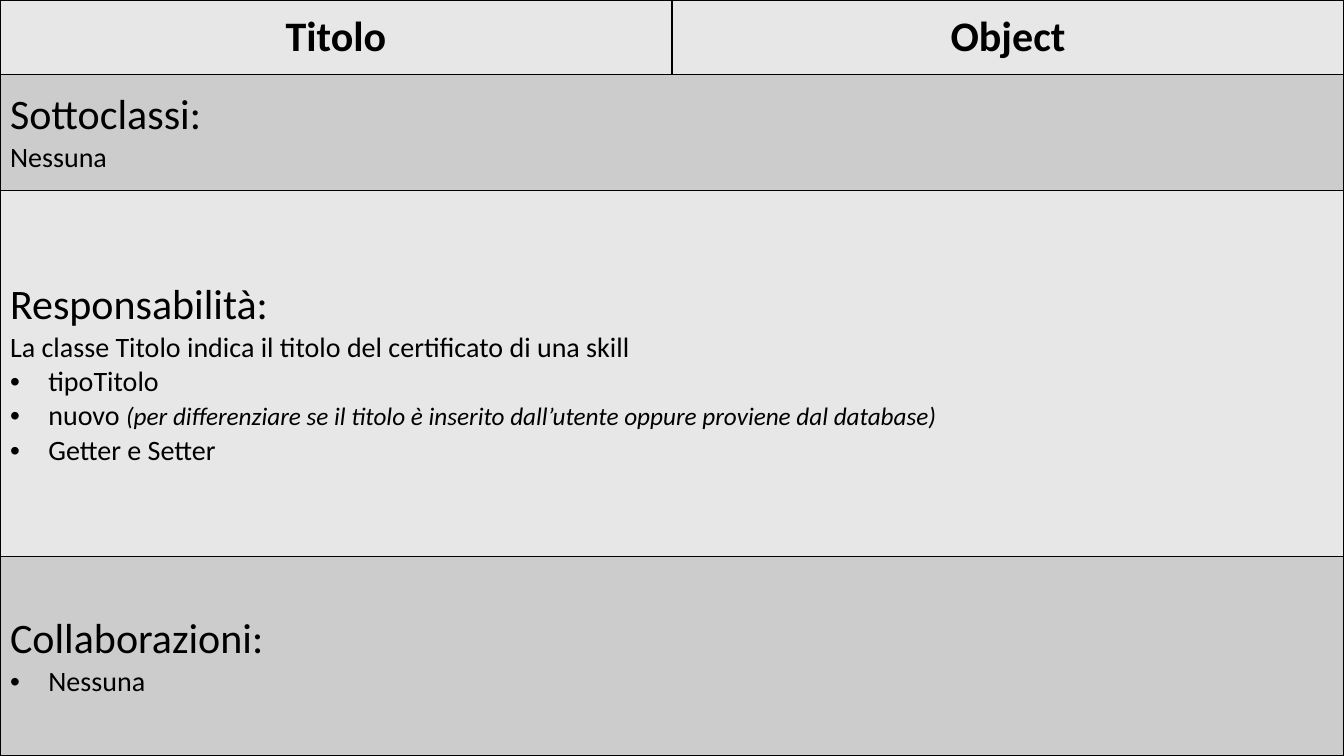
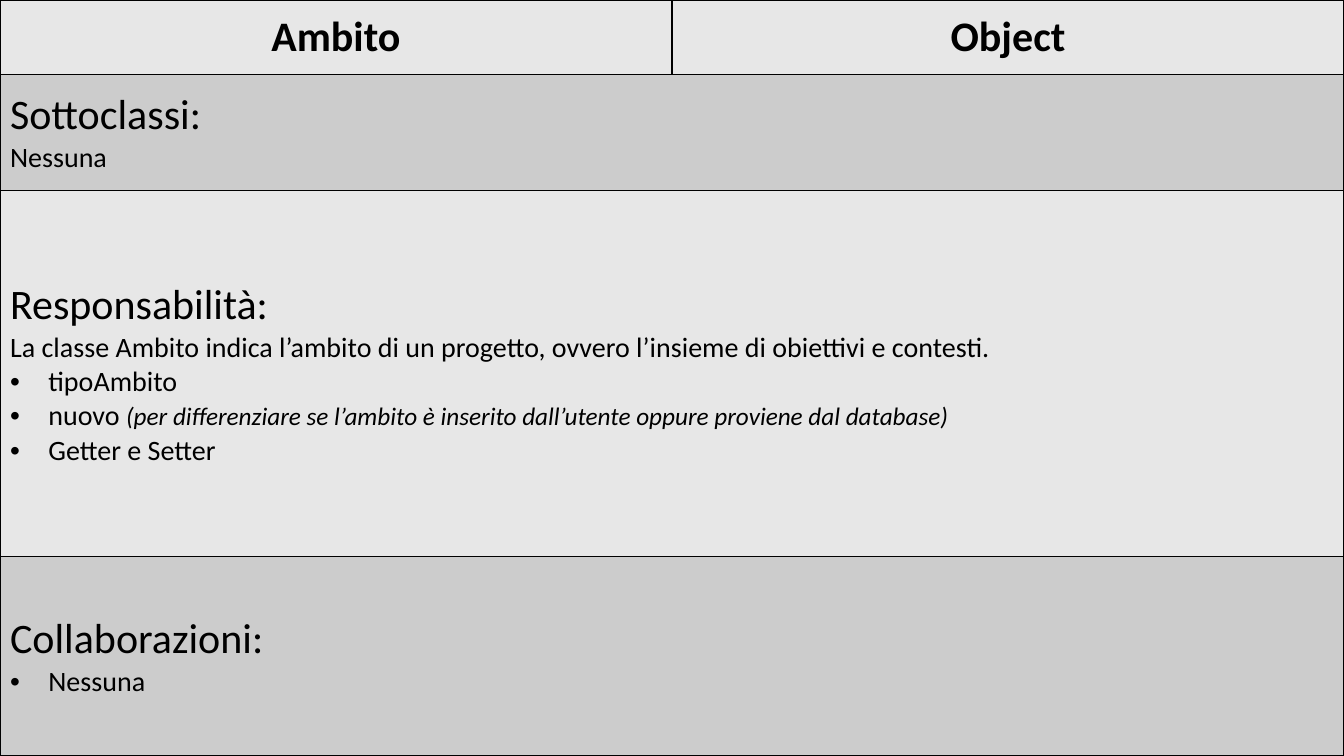
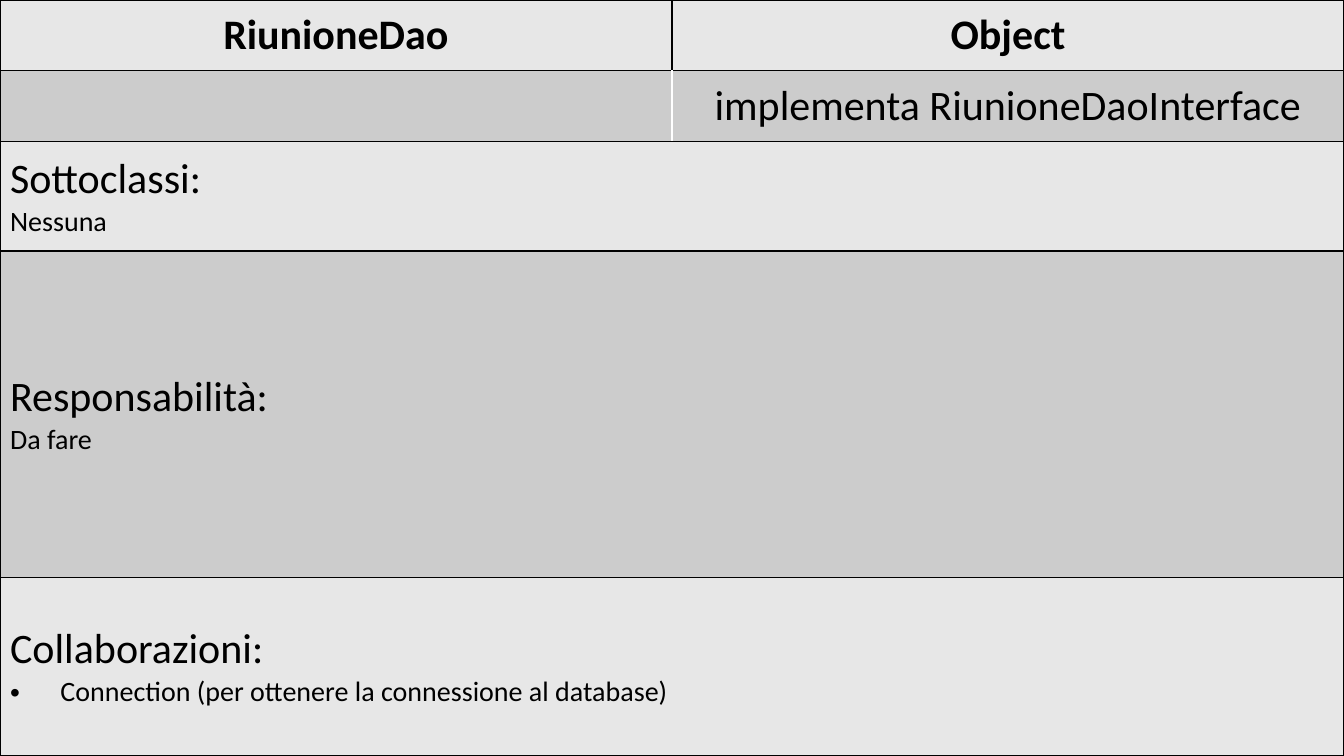
from dataclasses import dataclass

from lxml.etree import SubElement
from pptx import Presentation
from pptx.dml.color import RGBColor
from pptx.enum.text import MSO_ANCHOR, PP_ALIGN
from pptx.oxml.ns import qn
from pptx.util import Inches, Pt

COLORS = {"light": "E7E7E7", "dark": "CCCCCC", "ink": "000000"}
FONT = "Calibri"
HEADING_SIZE, BODY_SIZE, NOTE_SIZE = 30, 20, 18
SLIDE_WIDTH, SLIDE_HEIGHT = 13.33, 7.5
BULLET_INDENT, WIDE_INDENT = 0.38, 0.5
CLASS_ROWS = (0.74, 1.15, 3.63, 1.98)
DAO_ROWS = (0.7, 0.7, 1.09, 3.24, 1.77)


@dataclass
class Line:
    """One paragraph of a cell, with an optional italic note after its text."""
    text: str
    size: int = BODY_SIZE
    bold: bool = False
    indent: float = 0
    note: str = ""


def bullet(text, note="", indent=BULLET_INDENT):
    """Return a bulleted line."""
    return Line(text, indent=indent, note=note)


def section(heading, *lines):
    """Return a heading followed by its lines."""
    return [Line(heading, HEADING_SIZE), *lines]


def add_bullet(paragraph, indent):
    """Give a paragraph a hanging round bullet."""
    properties = paragraph._p.get_or_add_pPr()
    properties.set("marL", str(Inches(indent)))
    properties.set("indent", str(-Inches(indent)))
    SubElement(properties, qn("a:buFont"), typeface="Arial")
    SubElement(properties, qn("a:buChar"), char="•")


def write_line(paragraph, line, align):
    """Write one line into a paragraph."""
    paragraph.alignment = align
    if line.indent:
        add_bullet(paragraph, line.indent)
    font = paragraph.font
    font.name, font.size, font.bold = FONT, Pt(line.size), line.bold
    font.color.rgb = RGBColor.from_string(COLORS["ink"])
    paragraph.add_run().text = line.text
    if line.note:
        note = paragraph.add_run()
        note.text = line.note
        note.font.size, note.font.italic = Pt(NOTE_SIZE), True


def write_cell(cell, lines, align):
    """Fill a cell with lines of text."""
    cell.vertical_anchor = MSO_ANCHOR.MIDDLE
    frame = cell.text_frame
    for number, line in enumerate(lines):
        paragraph = frame.add_paragraph() if number else frame.paragraphs[0]
        write_line(paragraph, line, align)


def style_cell(cell, sides, color):
    """Draw the named borders of a cell and set its fill."""
    properties = cell._tc.get_or_add_tcPr()
    for side in sides:
        border = SubElement(properties, qn(f"a:ln{side}"), w=str(Pt(1)))
        fill = SubElement(border, qn("a:solidFill"))
        SubElement(fill, qn("a:srgbClr"), val=COLORS["ink"])
    cell.fill.solid()
    cell.fill.fore_color.rgb = RGBColor.from_string(COLORS[color])


def add_card(presentation, name, row_heights, sections, interface=""):
    """Add a slide whose table describes one class."""
    slide = presentation.slides.add_slide(presentation.slide_layouts[6])
    table = slide.shapes.add_table(
        len(row_heights), 2, 0, 0, Inches(SLIDE_WIDTH), Inches(SLIDE_HEIGHT)
    ).table
    table.first_row = table.horz_banding = False
    for column in table.columns:
        column.width = Inches(SLIDE_WIDTH / 2)
    first_section = len(row_heights) - len(sections)
    for index, height in enumerate(row_heights):
        table.rows[index].height = Inches(height)
        left, right = table.cell(index, 0), table.cell(index, 1)
        color = "dark" if index % 2 else "light"
        is_section = index >= first_section
        is_interface = 0 < index < first_section
        style_cell(left, "LTB" if is_interface else "LRTB", color)
        style_cell(right, "LRTB" if index == 0 else "RTB", color)
        if is_section:
            left.merge(right)
            lines, align = sections[index - first_section]
            write_cell(left, lines, align)
        elif is_interface:
            write_cell(right, [Line(interface, HEADING_SIZE)], PP_ALIGN.CENTER)
        else:
            for cell, text in ((left, name), (right, "Object")):
                write_cell(cell, [Line(text, HEADING_SIZE, True)], PP_ALIGN.CENTER)


def card_sections(duties, partner):
    """Return the three sections every class has, with their alignment."""
    return [
        (section("Sottoclassi:", Line("Nessuna")), PP_ALIGN.LEFT),
        (section("Responsabilità:", *duties), PP_ALIGN.JUSTIFY),
        (section("Collaborazioni:", partner), PP_ALIGN.LEFT),
    ]


def add_entity_card(presentation, name, description, subject):
    """Add the card of a class that holds one type and a new flag."""
    note = (f"(per differenziare se {subject} è inserito dall’utente "
            "oppure proviene dal database)")
    duties = [Line(description), bullet(f"tipo{name}"),
              bullet("nuovo ", note), bullet("Getter e Setter")]
    add_card(presentation, name, CLASS_ROWS, card_sections(duties, bullet("Nessuna")))


def main():
    """Build and save the presentation."""
    presentation = Presentation()
    presentation.slide_width = Inches(SLIDE_WIDTH)
    presentation.slide_height = Inches(SLIDE_HEIGHT)
    add_entity_card(
        presentation, "Titolo",
        "La classe Titolo indica il titolo del certificato di una skill",
        "il titolo")
    add_entity_card(
        presentation, "Ambito",
        "La classe Ambito indica l’ambito di un progetto, "
        "ovvero l’insieme di obiettivi e contesti.",
        "l’ambito")
    connection = bullet("Connection (per ottenere la connessione al database)",
                        indent=WIDE_INDENT)
    add_card(presentation, "RiunioneDao", DAO_ROWS,
             card_sections([Line("Da fare")], connection),
             "implementa RiunioneDaoInterface")
    presentation.save("out.pptx")


if __name__ == "__main__":
    main()
